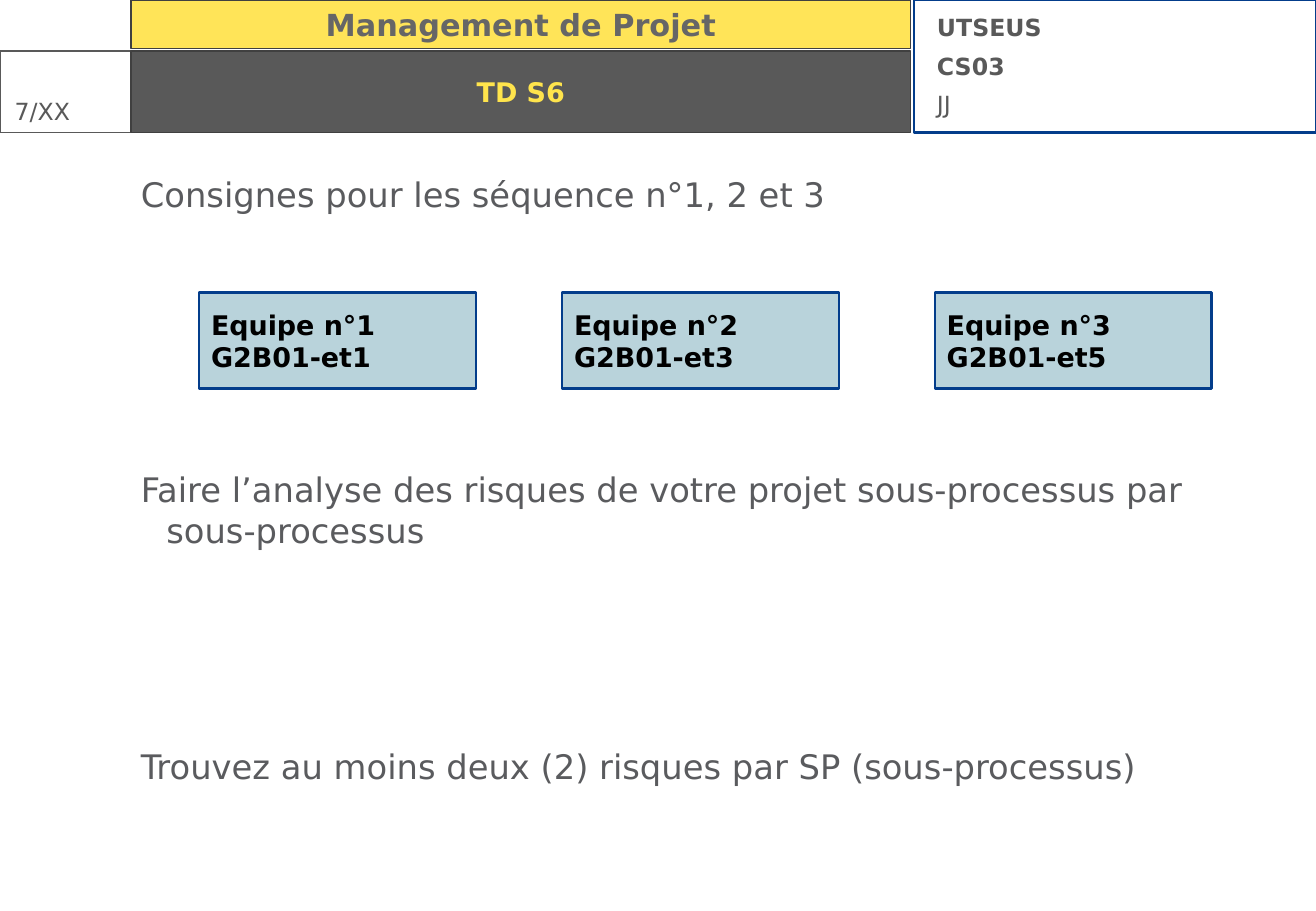
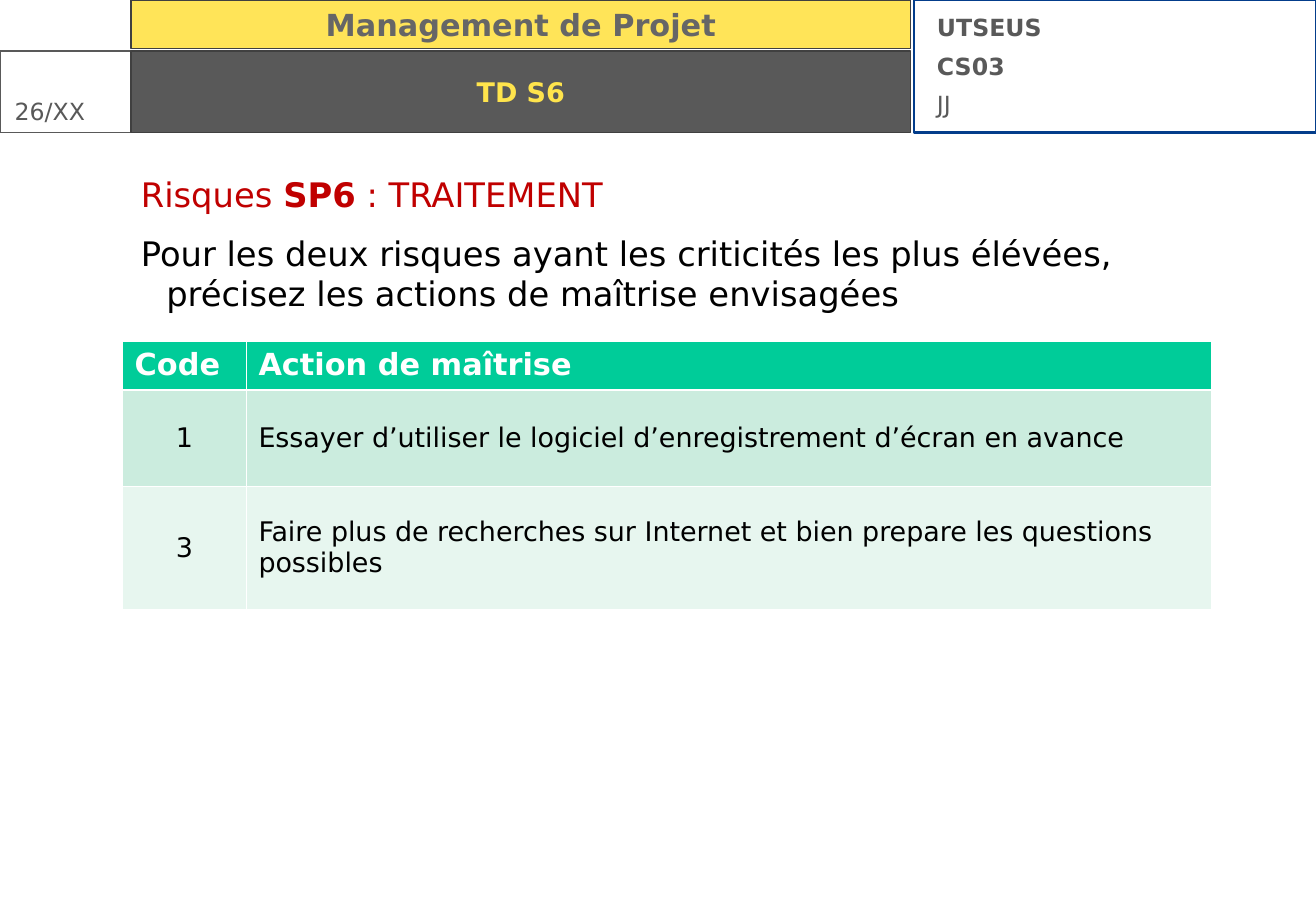
from lxml import etree
from pptx import Presentation
from pptx.dml.color import RGBColor
from pptx.enum.shapes import MSO_SHAPE
from pptx.enum.text import MSO_ANCHOR, PP_ALIGN
from pptx.oxml.ns import qn
from pptx.util import Inches, Pt

RECT = MSO_SHAPE.RECTANGLE
TOP, MIDDLE = MSO_ANCHOR.TOP, MSO_ANCHOR.MIDDLE
LEFT, CENTER = PP_ALIGN.LEFT, PP_ALIGN.CENTER

FONT = "DejaVu Sans"
WHITE = RGBColor(0xFF, 0xFF, 0xFF)
BLACK = RGBColor(0, 0, 0)
NAVY = RGBColor(0x03, 0x3D, 0x8B)
YELLOW = RGBColor(0xFF, 0xD9, 0x12)
LEMON = RGBColor(0xFF, 0xE4, 0x4C)
DARK = RGBColor(0x40, 0x40, 0x40)
GREY = RGBColor(0x59, 0x59, 0x59)
STONE = RGBColor(0x66, 0x66, 0x66)
SLATE = RGBColor(0x5A, 0x5B, 0x5E)
RED = RGBColor(0xC0, 0, 0)
PALE = RGBColor(0xB9, 0xD3, 0xDB)
GREEN = RGBColor(0x00, 0xCC, 0x99)
MINT = RGBColor(0xCB, 0xEC, 0xDE)
FOAM = RGBColor(0xE7, 0xF6, 0xEF)

INSET = (0.1, 0.05, 0.1, 0.05)
BODY = (0.12, 0.01, 0.12, 0)
THIN, THICK = 0.45, 1.47


def write(frame, lines, size=16, color=BLACK, bold=False, align=LEFT,
          hang=0, before=(), after=0):
    for i, line in enumerate(lines):
        para = frame.paragraphs[0] if i == 0 else frame.add_paragraph()
        para.alignment = align
        para.space_after = Pt(after)
        if i and before:
            para.space_before = Pt(before[i - 1])
        if hang:
            props = para._p.get_or_add_pPr()
            props.set("marL", str(Inches(hang)))
            props.set("indent", str(-Inches(hang)))
        parts = [(line, {})] if isinstance(line, str) else line
        for text, own in parts:
            run = para.add_run()
            run.text = text
            font = run.font
            font.name = FONT
            font.size = Pt(size)
            font.bold = own.get("bold", bold)
            font.color.rgb = own.get("color", color)


def set_frame(frame, inset, anchor):
    frame.word_wrap = True
    frame.vertical_anchor = anchor
    (frame.margin_left, frame.margin_top,
     frame.margin_right, frame.margin_bottom) = map(Inches, inset)


def add_text(slide, box, lines, inset=INSET, **style):
    shape = slide.shapes.add_textbox(*map(Inches, box))
    set_frame(shape.text_frame, inset, TOP)
    write(shape.text_frame, lines, **style)


def add_rect(slide, box, line, width, fill=None, alpha=None, lines=(),
             anchor=MIDDLE, **style):
    shape = slide.shapes.add_shape(RECT, *map(Inches, box))
    shape.shadow.inherit = False
    shape.line.color.rgb = line
    shape.line.width = Pt(width)
    if fill is None:
        shape.fill.background()
    else:
        shape.fill.solid()
        shape.fill.fore_color.rgb = fill
    if alpha:
        tint = shape._element.spPr.find(qn("a:solidFill"))[0]
        etree.SubElement(tint, qn("a:alpha")).set("val", str(alpha * 1000))
    set_frame(shape.text_frame, INSET, anchor)
    write(shape.text_frame, lines, **style)


def add_head(slide, box, page):
    x, y, wide, high = box
    side, mid, row = 1.08, 6.42, 0.42
    low = high - row
    card = x + side + mid + 0.03
    add_rect(slide, (card, y, x + wide - card, high), NAVY, 1.5)
    add_rect(slide, (x + side, y, mid, 0.4), DARK, 0.75, YELLOW, 70,
             ["Management de Projet"], anchor=TOP, size=18, color=STONE,
             bold=True, align=CENTER)
    add_text(slide, (x, y + 0.75, side, 0.6), [page],
             inset=(0.12, 0.05, 0, 0.05), size=14, color=GREY)
    add_rect(slide, (x, y + row, side, low), GREY, 0.75)
    add_text(slide, (card + 0.09, y + 0.06, 3.17, 0.97),
             ["UTSEUS", "CS03", [("JJ", {"bold": False})]],
             size=14, color=GREY, bold=True, after=6)
    add_rect(slide, (x + side, y + row, mid, low), DARK, 0.75, GREY,
             lines=["TD S6"], color=LEMON, bold=True, align=CENTER)


def add_body(slide, box, lines, before, color):
    add_text(slide, box, lines, inset=BODY, size=20, color=color,
             hang=0.21, before=before, after=6)


def add_teams(slide, box):
    x, y, wide, high = box
    teams = [(0, "1", "1"), (2.99, "2", "3"), (6.06, "3", "5")]
    for shift, team, lead in teams:
        add_rect(slide, (x + shift, y, wide, high), NAVY, 1.5, PALE,
                 lines=["Equipe n°" + team, "G2B01-et" + lead], bold=True)


def set_edge(cell, side, width):
    props = cell._tc.get_or_add_tcPr()
    edge = etree.SubElement(props, qn("a:ln" + side), w=str(Pt(width)))
    fill = etree.SubElement(edge, qn("a:solidFill"))
    etree.SubElement(fill, qn("a:srgbClr"), val=str(WHITE))


def add_grid(slide, box, rows, cols, highs):
    shape = slide.shapes.add_table(len(rows), len(cols), *map(Inches, box))
    table = shape.table
    table.first_row = table.horz_banding = False
    for col, wide in zip(table.columns, cols):
        col.width = Inches(wide)
    for r, (texts, high, fill) in enumerate(
            zip(rows, highs, (GREEN, MINT, FOAM))):
        table.rows[r].height = Inches(high)
        head = r == 0
        for c, text in enumerate(texts):
            cell = table.cell(r, c)
            edges = {"L": THIN, "R": THIN, "T": THICK if r == 1 else THIN,
                     "B": THICK if head else THIN}
            for side, width in edges.items():
                set_edge(cell, side, width)
            cell.fill.solid()
            cell.fill.fore_color.rgb = fill
            cell.vertical_anchor = TOP if head else MIDDLE
            write(cell.text_frame, [text], size=18 if head else 16,
                  color=WHITE if head else BLACK, bold=head,
                  align=CENTER if c == 0 and not head else LEFT)


def add_slide(deck, page):
    slide = deck.slides.add_slide(deck.slide_layouts[6])
    add_head(slide, (0, 0, 10.84, 1.09), page)
    return slide


def add_task(deck):
    slide = add_slide(deck, "7/XX")
    add_body(slide, (1.04, 1.42, 9.18, 5.54), [
        "Consignes pour les séquence n°1, 2 et 3",
        "Faire l’analyse des risques de votre projet sous-processus par "
        "sous-processus",
        "Trouvez au moins deux (2) risques par SP (sous-processus)",
    ], (145, 110), SLATE)
    add_teams(slide, (1.64, 2.41, 2.28, 0.79))


def add_risks(deck):
    slide = add_slide(deck, "26/XX")
    add_body(slide, (1.04, 1.42, 8.75, 5.54), [
        [("Risques ", {}), ("SP6", {"bold": True}), (" : TRAITEMENT", {})],
        [("Pour les deux risques ayant les criticités les plus élévées, "
          "précisez les actions de maîtrise envisagées", {"color": BLACK})],
    ], (5,), RED)
    add_grid(slide, (1.01, 2.81, 8.97, 2.21), [
        ("Code", "Action de maîtrise"),
        ("1", "Essayer d’utiliser le logiciel d’enregistrement d’écran "
              "en avance"),
        ("3", "Faire plus de recherches sur Internet et bien prepare les "
              "questions possibles"),
    ], (1.02, 7.95), (0.4, 0.79, 1.02))


def main():
    deck = Presentation()
    deck.slide_width = Inches(10.84)
    deck.slide_height = Inches(7.5)
    add_task(deck)
    add_risks(deck)
    deck.save("out.pptx")


if __name__ == "__main__":
    main()
